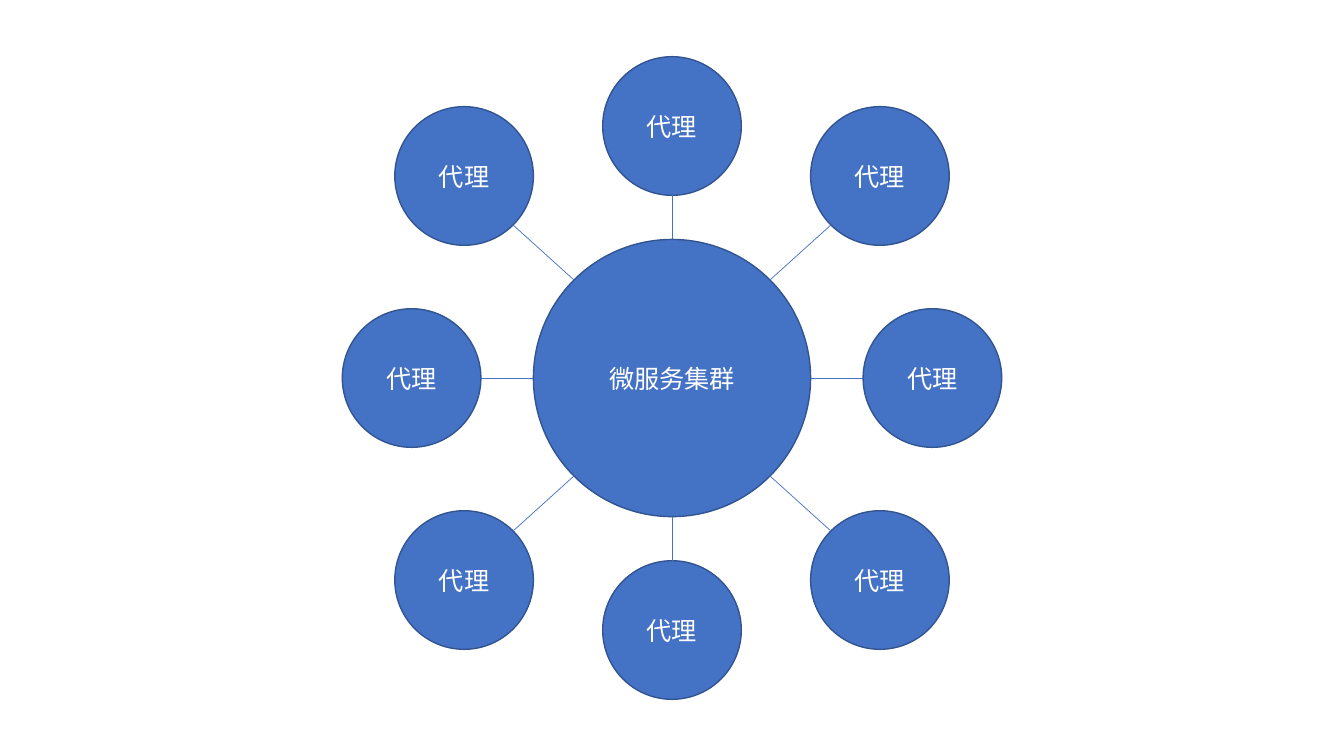
import math
from dataclasses import dataclass

import lxml.etree
import pptx
import pptx.dml.color
import pptx.enum.shapes
import pptx.enum.text
import pptx.oxml.ns
import pptx.slide
import pptx.util

Pt = pptx.util.Pt
qn = pptx.oxml.ns.qn

WIDTH, HEIGHT = 960, 540
MID_X, MID_Y = WIDTH / 2, HEIGHT / 2
HUB_SIZE, AGENT_SIZE = 198, 99
SIDE_X, SIDE_Y = 186, 180
DIAG_X, DIAG_Y = 148.5, 144.3
FONT = "Noto Sans CJK SC"
BLUE, NAVY, WHITE = "4472C4", "325491", "FFFFFF"


@dataclass(frozen=True)
class Disc:
    """A labelled circle, placed by its centre in points."""
    label: str
    x: float
    y: float
    size: float


def color(code: str) -> pptx.dml.color.RGBColor:
    """Turn a hex string into a colour."""
    return pptx.dml.color.RGBColor.from_string(code)


def draw_disc(slide: pptx.slide.Slide, disc: Disc) -> None:
    """Draw a circle with its label in the middle."""
    shape = slide.shapes.add_shape(
        pptx.enum.shapes.MSO_SHAPE.OVAL,
        Pt(disc.x - disc.size / 2), Pt(disc.y - disc.size / 2),
        Pt(disc.size), Pt(disc.size))
    shape.shadow.inherit = False
    shape.fill.solid()
    shape.fill.fore_color.rgb = color(BLUE)
    shape.line.color.rgb = color(NAVY)
    shape.line.width = Pt(1)
    frame = shape.text_frame
    frame.word_wrap = True
    frame.vertical_anchor = pptx.enum.text.MSO_ANCHOR.MIDDLE
    para = frame.paragraphs[0]
    para.alignment = pptx.enum.text.PP_ALIGN.CENTER
    run = para.add_run()
    run.text = disc.label
    run.font.size = Pt(18)
    run.font.name = FONT
    run.font.color.rgb = color(WHITE)
    props = run.font._element
    lxml.etree.SubElement(props, qn("a:ea")).set("typeface", FONT)


def draw_spoke(slide: pptx.slide.Slide, hub: Disc, agent: Disc,
               col: int, row: int) -> None:
    """Join the rims of hub and agent that face each other."""
    unit = math.hypot(col, row)
    step_x, step_y = col / unit, row / unit
    hub_r, agent_r = hub.size / 2, agent.size / 2
    line = slide.shapes.add_connector(
        pptx.enum.shapes.MSO_CONNECTOR.STRAIGHT,
        Pt(hub.x + step_x * hub_r), Pt(hub.y + step_y * hub_r),
        Pt(agent.x - step_x * agent_r), Pt(agent.y - step_y * agent_r))
    line.line.color.rgb = color(BLUE)
    line.line.width = Pt(0.5)
    lxml.etree.SubElement(line._element.spPr, qn("a:effectLst"))


def place_agent(col: int, row: int) -> Disc:
    """Place an agent on the ring, in the given direction."""
    gap_x, gap_y = (DIAG_X, DIAG_Y) if col and row else (SIDE_X, SIDE_Y)
    return Disc("代理", MID_X + col * gap_x, MID_Y + row * gap_y, AGENT_SIZE)


def main() -> None:
    """Build the hub, its ring of agents and the spokes."""
    deck = pptx.Presentation()
    deck.slide_width, deck.slide_height = Pt(WIDTH), Pt(HEIGHT)
    slide = deck.slides.add_slide(deck.slide_layouts[6])
    hub = Disc("微服务集群", MID_X, MID_Y, HUB_SIZE)
    ring = {(col, row): place_agent(col, row)
            for row in (-1, 0, 1) for col in (-1, 0, 1) if col or row}
    for disc in (hub, *ring.values()):
        draw_disc(slide, disc)
    for (col, row), agent in ring.items():
        draw_spoke(slide, hub, agent, col, row)
    deck.save("out.pptx")


main()
